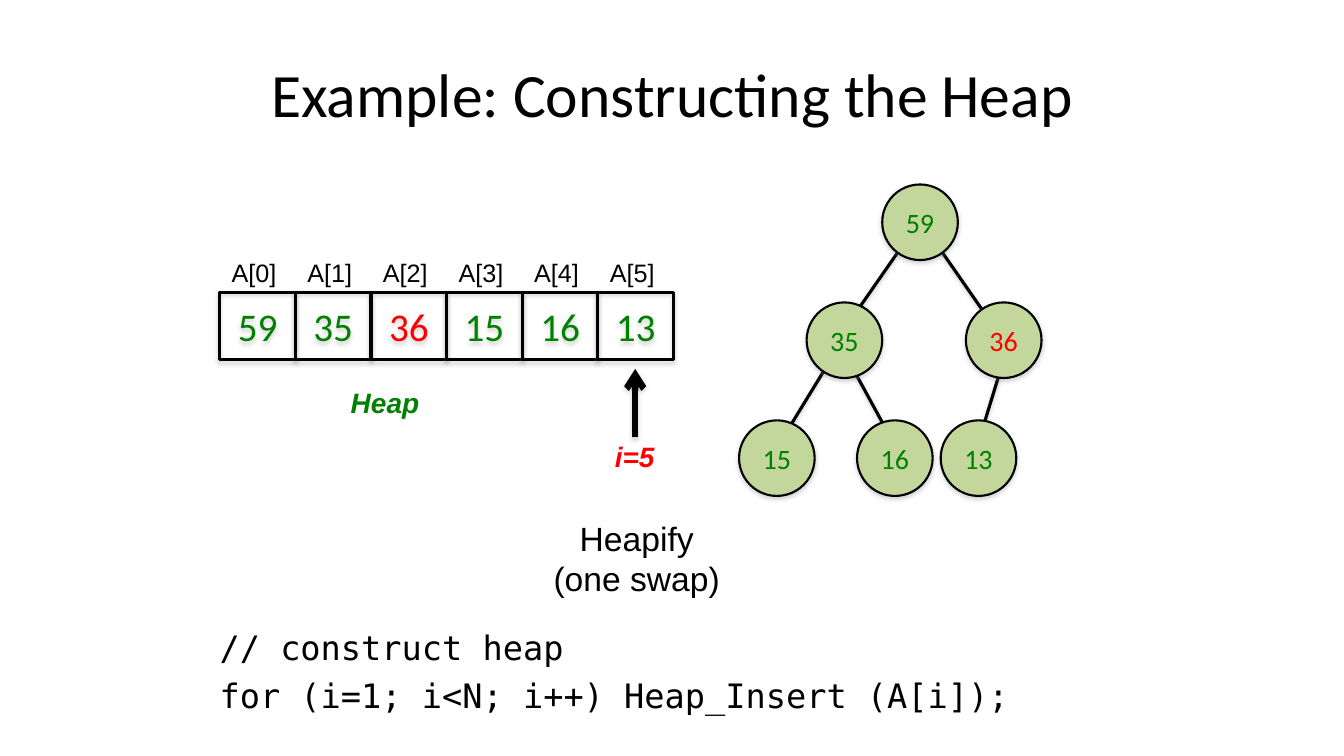
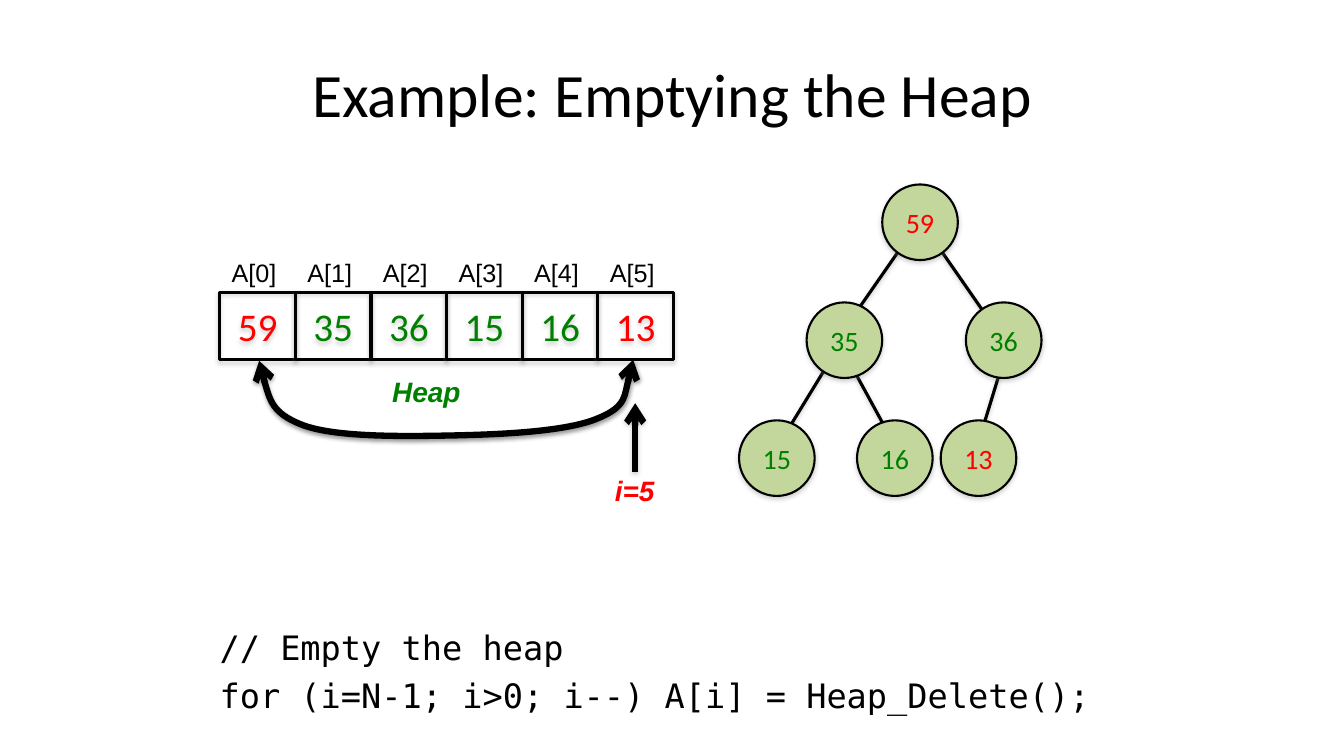
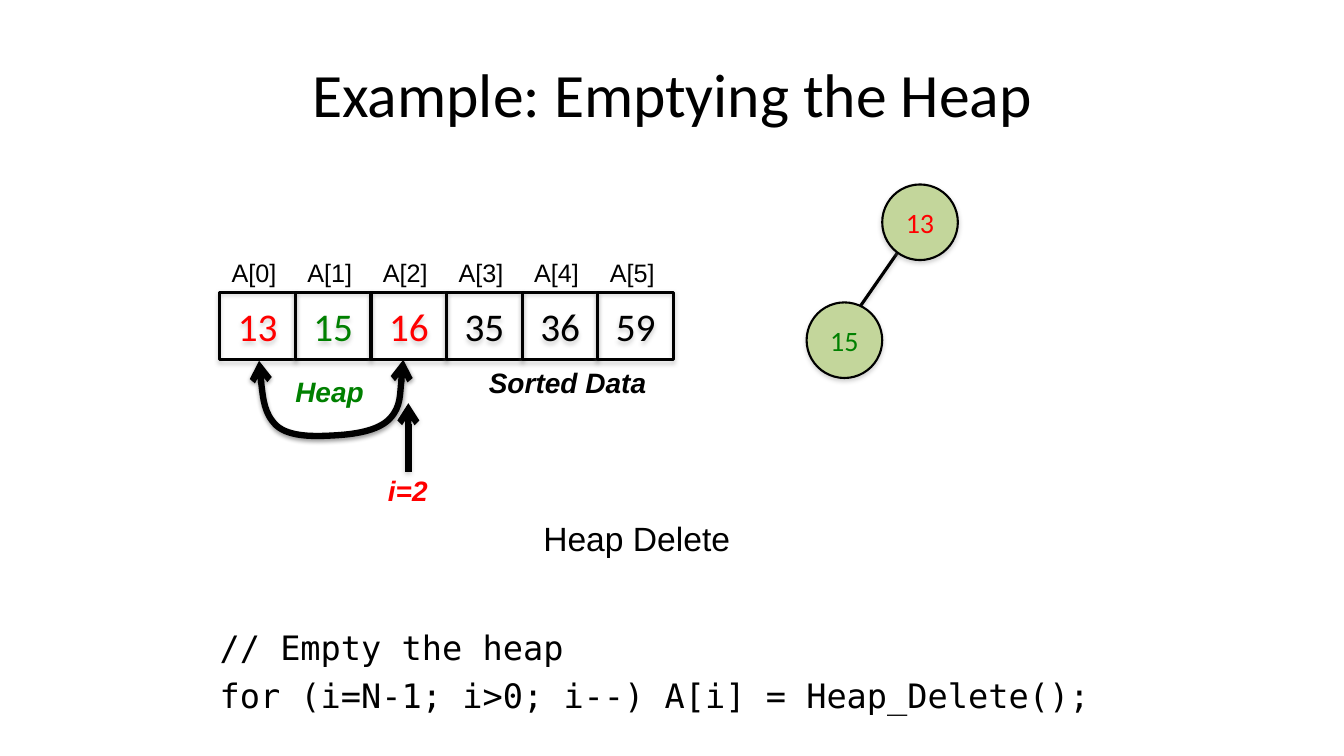
from lxml import etree
from pptx import Presentation, util as u
from pptx.dml.color import RGBColor
from pptx.enum import shapes, text
from pptx.oxml import ns

PX = 9144
BLACK, RED, GREEN, LEAF, GRAY = "000000", "FF0000", "008000", "C3D69B", "808080"
SANS, HEAD, MONO = "Arial", "Calibri", "DejaVu Sans Mono"
LEFT, MID = text.PP_ALIGN.LEFT, text.PP_ALIGN.CENTER
CELL, NODE = 75, 75
NODES = [(142, 0, 0, 0), (67, 117, 175, 100), (225, 117, 184, 259),
         (0, 234, 100, 34), (117, 234, 100, 159), (200, 234, 267, 234)]
CURVE = [(6, 27), (12, 53), (44, 65), (77, 77), (144, 76), (193, 75),
         (242, 74), (306, 71), (336, 58), (366, 46), (371, 0), (371, 0)]


def px(*vals):
    return [u.Emu(round(v * PX)) for v in vals]


def rgb(code):
    return RGBColor.from_string(code)


def sub(node, tag, **attrs):
    return etree.SubElement(node, ns.qn(tag), attrs)


def shade(props, color, alpha, dist):
    old = props.find(ns.qn("a:effectLst"))
    fx = sub(props, "a:effectLst") if old is None else old
    shadow = sub(fx, "a:outerShdw", blurRad="40000", dist=str(dist),
                 dir="5400000", rotWithShape="0")
    tint = sub(shadow, "a:srgbClr", val=color)
    sub(tint, "a:alpha", val=str(alpha * 1000))


def stroke(item, width, *ends):
    item.line.color.rgb = rgb(BLACK)
    item.line.width = u.Pt(width)
    ln = item.line._get_or_add_ln()
    for end in ends:
        sub(ln, end, type="arrow")


def write(frame, lines, size, font, color, align=MID, bold=False, gap=None):
    for i, line in enumerate(lines):
        para = frame.paragraphs[0] if i == 0 else frame.add_paragraph()
        para.alignment = align
        if gap:
            para.space_before = u.Pt(gap)
        run = para.add_run()
        run.text = line
        face = run.font
        face.size, face.name = u.Pt(size), font
        face.bold = face.italic = bold
        face.color.rgb = rgb(color)


def area(slide, box, lines, size, font, **style):
    frame = slide.shapes.add_textbox(*px(*box)).text_frame
    frame.word_wrap = True
    write(frame, lines, size, font, BLACK, **style)
    return frame


def label(slide, box, lines, size, color=BLACK, **style):
    frame = slide.shapes.add_textbox(*px(*box)).text_frame
    frame.word_wrap = False
    frame.auto_size = text.MSO_AUTO_SIZE.SHAPE_TO_FIT_TEXT
    write(frame, lines, size, SANS, color, **style)


def note(slide, x, y, width, words, color):
    label(slide, (x, y, width, 44), [words], 20, color, align=LEFT, bold=True)


def block(slide, kind, box, words, size, color, fill, width):
    item = slide.shapes.add_shape(kind, *px(*box))
    item.shadow.inherit = False
    if fill:
        item.fill.solid()
        item.fill.fore_color.rgb = rgb(fill)
    else:
        item.fill.background()
    stroke(item, width)
    shade(item._element.spPr, GRAY, 35, 23000)
    item.text_frame.vertical_anchor = text.MSO_ANCHOR.MIDDLE
    write(item.text_frame, [words], size, HEAD, color)


def line(slide, ends, width, *tips):
    item = slide.shapes.add_connector(shapes.MSO_CONNECTOR.STRAIGHT, *px(*ends))
    stroke(item, width, *tips)
    shade(item._element.spPr, GRAY, 38, 20000)


def array(slide, x, y, vals, tints):
    for i, (val, tint) in enumerate(zip(vals, tints)):
        left = x + i * CELL
        block(slide, shapes.MSO_SHAPE.RECTANGLE, (left, y, CELL, 67),
              str(val), 28, tint, None, 2.25)
        label(slide, (left + 2, y - 40, 66, 40), [f"A[{i}]"], 18, align=LEFT)


def tree(slide, x, y, vals, tints):
    nodes = NODES[:len(vals)]
    for _, top, start, end in nodes[1:]:
        line(slide, (x + start, y + top - 75, x + end, y + top + 33), 2.25)
    for (left, top, _, _), val, tint in zip(nodes, vals, tints):
        block(slide, shapes.MSO_SHAPE.OVAL, (x + left, y + top, NODE, NODE),
              str(val), 20, tint, LEAF, 1.5)


def point(slide, x, y, i):
    line(slide, (x, y + 68, x, y), 4.5, "a:tailEnd")
    note(slide, x - 30, y + 65, 60, f"i={i}", RED)


def swap(slide, x, y, width):
    rate = width / CURVE[-1][0]
    pen = slide.shapes.build_freeform(x, y + 1, scale=PX)
    pen.add_line_segments([(x + round(a * rate), y + b) for a, b in CURVE],
                          close=False)
    item = pen.convert_to_shape()
    item.shadow.inherit = False
    item.fill.background()
    stroke(item, 4.5, "a:headEnd", "a:tailEnd")
    props = item._element.spPr
    shade(props, BLACK, 38, 20000)
    steps = list(props.iter(ns.qn("a:lnTo")))
    trace = steps[0].getparent()
    for i in range(0, len(steps), 3):
        bend = sub(trace, "a:cubicBezTo")
        for step in steps[i:i + 3]:
            bend.append(step[0])
            trace.remove(step)


def page(deck, title, code, vals, heap, hot, i, top, heap_at):
    slide = deck.slides.add_slide(deck.slide_layouts[6])
    tints = [RED if k in hot else GREEN if k < heap else BLACK
             for k in range(len(vals))]
    frame = area(slide, (67, 30, 1200, 125), [title], 44, HEAD)
    frame.vertical_anchor = text.MSO_ANCHOR.MIDDLE
    area(slide, (208, 617, 900, 108), code, 24, MONO, align=LEFT, gap=5.6)
    array(slide, 218, 290, vals, tints)
    point(slide, 218 + i * CELL + 37, top, i)
    note(slide, *heap_at, 89, "Heap", GREEN)
    tree(slide, 733, 183, vals[:heap], tints)
    return slide


def main():
    deck = Presentation()
    deck.slide_width, deck.slide_height = u.Inches(13.33), u.Inches(7.5)
    vals = [59, 35, 36, 15, 16, 13]
    empty = ("Example: Emptying the Heap",
             ["// Empty the heap", "for (i=N-1; i>0; i--) A[i] = Heap_Delete();"])

    build = page(deck, "Example: Constructing the Heap",
                 ["// construct heap", "for (i=1; i<N; i++) Heap_Insert (A[i]);"],
                 vals, 6, {2}, 5, 366, (338, 378))
    label(build, (538, 509, 187, 91), ["Heapify", "(one swap)"], 24)

    first = page(deck, *empty, vals, 6, {0, 5}, 5, 400, (379, 367))
    swap(first, 257, 357, 371)

    last = page(deck, *empty, [13, 15, 16, 35, 36, 59], 2, {0, 2}, 2, 400,
                (283, 367))
    label(last, (528, 509, 207, 50), ["Heap Delete"], 24)
    note(last, 475, 358, 184, "Sorted Data", BLACK)
    swap(last, 257, 357, 143)

    deck.save("out.pptx")


if __name__ == "__main__":
    main()
